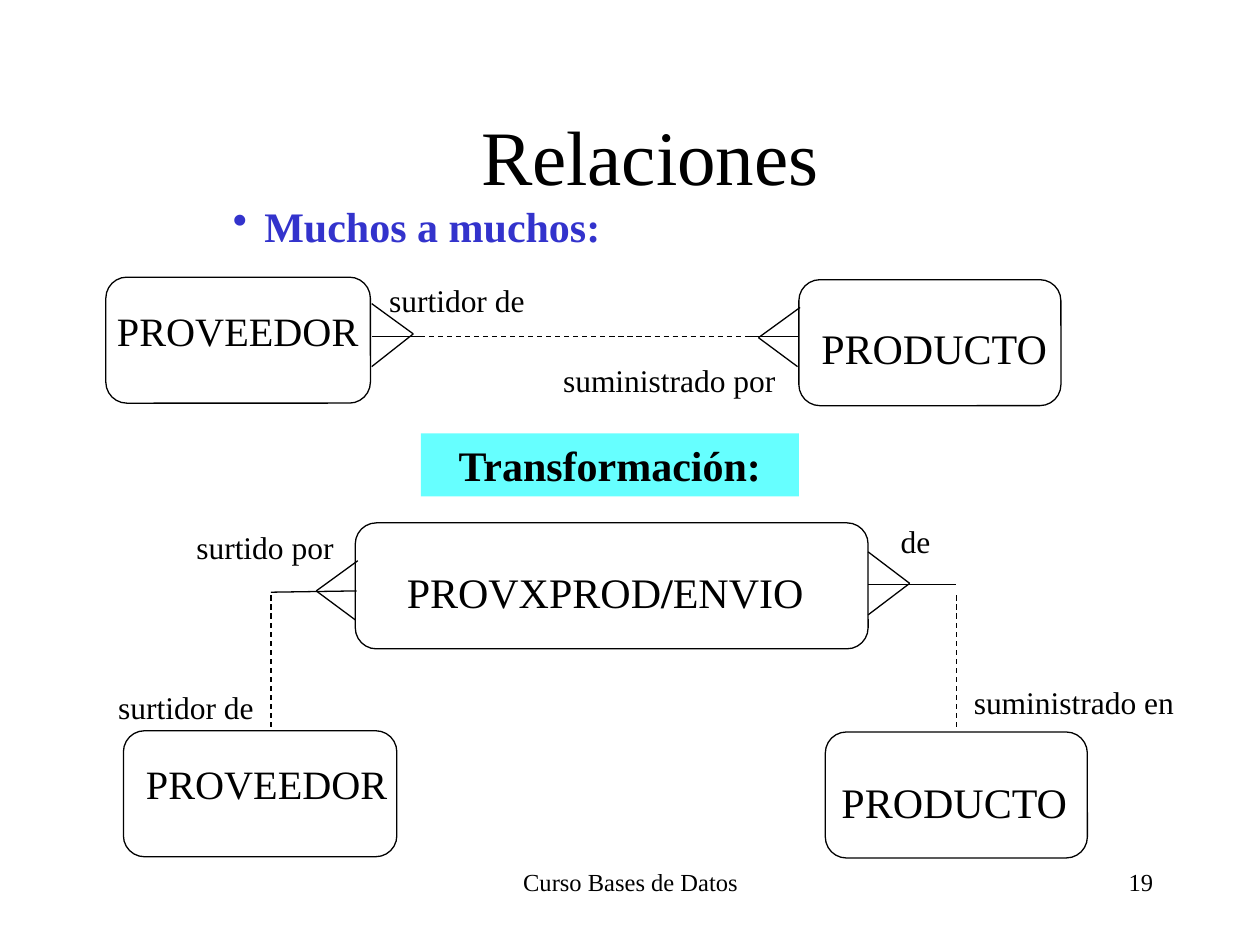
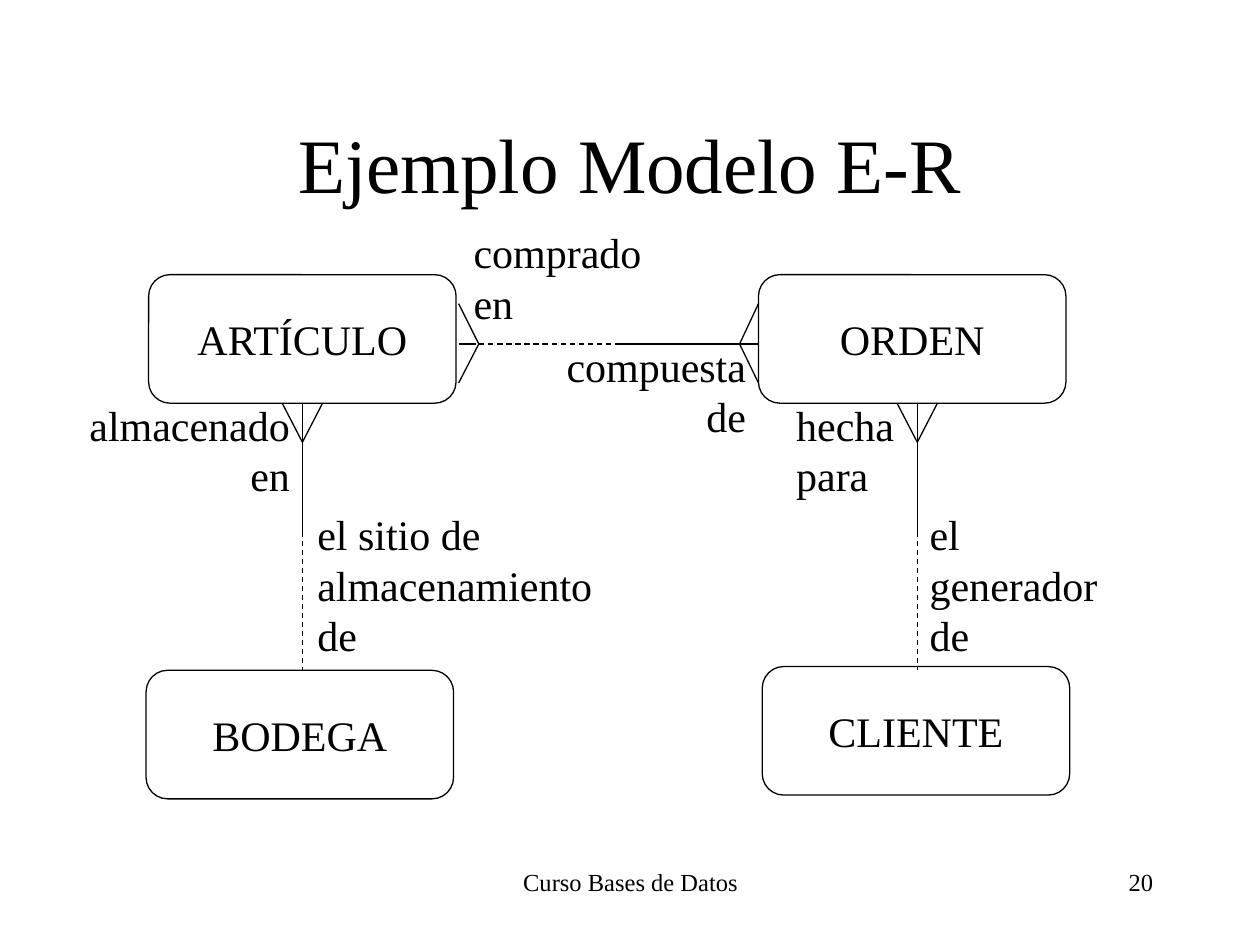
from lxml.etree import SubElement
from pptx import Presentation
from pptx.dml.color import RGBColor
from pptx.enum.dml import MSO_LINE
from pptx.enum.shapes import MSO_CONNECTOR, MSO_SHAPE
from pptx.enum.text import MSO_ANCHOR as Anchor, MSO_AUTO_SIZE as AutoSize, PP_ALIGN as Align
from pptx.oxml.ns import qn
from pptx.util import Inches, Pt

COLORS = {"ink": "000000", "accent": "3333CC", "banner": "66FFFF", "paper": "FFFFFF"}
FONT = "Times New Roman"
COLUMNS, ROWS = 100, 75


class Deck:
    """Draws entity-relationship slides on a grid of 100 columns by 75 rows."""

    def __init__(self):
        self.presentation = Presentation()
        self.presentation.slide_width = Inches(10)
        self.presentation.slide_height = Inches(7.5)
        self.column = self.presentation.slide_width / COLUMNS
        self.row = self.presentation.slide_height / ROWS
        self.slide = None

    def color(self, name):
        return RGBColor.from_string(COLORS[name])

    def place(self, left, top, width, height):
        return (round(left * self.column), round(top * self.row),
                round(width * self.column), round(height * self.row))

    def new_slide(self, title, corner, number):
        self.slide = self.presentation.slides.add_slide(self.presentation.slide_layouts[5])
        background = self.slide.background.fill
        background.solid()
        background.fore_color.rgb = self.color("paper")
        shape = self.slide.shapes.title
        box = self.place(*corner, 85, 12.5)
        for name, value in zip(("left", "top", "width", "height"), box):
            setattr(shape, name, value)
        self.set_text(shape, title, 44, align=Align.CENTER, anchor=Anchor.MIDDLE)
        self.label("Curso Bases de Datos", (34.2, 68.3, 31.7, 5), 14, wrap=True, align=Align.CENTER)
        self.label(str(number), (71.7, 68.3, 20.8, 5), 14, wrap=True, align=Align.RIGHT)

    def set_text(self, shape, text, size, bold=False, color="ink", align=Align.LEFT,
                 anchor=Anchor.TOP, wrap=True, before=0):
        frame = shape.text_frame
        frame_format = {"word_wrap": wrap, "auto_size": AutoSize.NONE, "vertical_anchor": anchor,
                        "margin_left": Inches(0.1), "margin_right": Inches(0.1),
                        "margin_top": Inches(0.05), "margin_bottom": Inches(0.05)}
        for name, value in frame_format.items():
            setattr(frame, name, value)
        paragraph = frame.paragraphs[0]
        paragraph.alignment = align
        paragraph.space_before = Pt(before)
        runs = [(text, bold)] if isinstance(text, str) else text
        for words, heavy in runs:
            run = paragraph.add_run()
            run.text = words
            for name, value in {"name": FONT, "size": Pt(size), "bold": heavy}.items():
                setattr(run.font, name, value)
            run.font.color.rgb = self.color(color)
        return paragraph

    def label(self, text, box, size=18, wrap=False, **style):
        shape = self.slide.shapes.add_textbox(*self.place(*box))
        self.set_text(shape, text, size, wrap=wrap, **style)
        return shape

    def bullet(self, text, box):
        shape = self.slide.shapes.add_textbox(*self.place(*box))
        paragraph = self.set_text(shape, text, 24, bold=True, color="accent", before=6)
        properties = paragraph._p.get_or_add_pPr()
        for name, value in {"lvl": 2, "marL": Inches(1.25), "indent": Inches(-0.25)}.items():
            properties.set(name, str(int(value)))
        bullet_color = SubElement(properties, qn("a:buClr"))
        SubElement(bullet_color, qn("a:srgbClr")).set("val", COLORS["accent"])
        SubElement(properties, qn("a:buChar")).set("char", "•")

    def banner(self, text, box):
        shape = self.slide.shapes.add_shape(MSO_SHAPE.RECTANGLE, *self.place(*box))
        shape.shadow.inherit = False
        shape.fill.solid()
        shape.fill.fore_color.rgb = self.color("banner")
        shape.line.fill.background()
        self.set_text(shape, text, 24, bold=True, align=Align.CENTER, before=6)

    def entity(self, box, text=None):
        shape = self.slide.shapes.add_shape(MSO_SHAPE.ROUNDED_RECTANGLE, *self.place(*box))
        shape.adjustments[0] = 0.167
        shape.shadow.inherit = False
        shape.fill.background()
        shape.line.color.rgb = self.color("ink")
        shape.line.width = Pt(0.74)
        if text:
            self.set_text(shape, text, 24, align=Align.CENTER, anchor=Anchor.MIDDLE, wrap=False)
        return shape

    def labelled_entity(self, box, text, text_box, size=24):
        self.slide.shapes.add_group_shape([self.entity(box), self.label(text, text_box, size)])

    def line(self, start, end, dashed=False):
        ends = self.place(*start, *end)
        connector = self.slide.shapes.add_connector(MSO_CONNECTOR.STRAIGHT, *ends)
        connector.line.color.rgb = self.color("ink")
        connector.line.width = Pt(0.74)
        if dashed:
            connector.line.dash_style = MSO_LINE.DASH
        SubElement(connector._element.spPr, qn("a:effectLst"))

    def crow_foot(self, tip, *toes):
        for toe in toes:
            self.line(tip, toe)


def many_to_many(deck):
    deck.new_slide("Relaciones", (9.1, 6), 19)
    deck.bullet("Muchos a muchos:", (7.5, 15.4, 85, 17.5))
    deck.banner("Transformación:", (33.4, 34.4, 30, 5))

    suppliers = [((8.4, 22, 21, 10), (8.3, 23.8)), ((9.8, 58, 21.7, 10), (10.6, 59.8))]
    products = [((63.4, 22.2, 20.8, 10), (64.2, 25.1)), ((65.5, 58.1, 20.8, 10), (65.8, 61.1))]
    for box, corner in suppliers:
        deck.labelled_entity(box, "PROVEEDOR", (*corner, 21.2, 4.9), 23)
    for box, corner in products:
        deck.labelled_entity(box, "PRODUCTO", (*corner, 19.9, 5))
    shipment = [("PROVXPROD", False), ("/", True), ("ENVIO", False)]
    deck.labelled_entity((28.2, 41.5, 40.7, 10), shipment, (31.3, 44.5, 33.5, 5))

    for text, left, top, width in [
        ("surtidor de", 29.9, 21.8, 12.7), ("suministrado por", 43.7, 28.2, 18.9),
        ("surtidor de", 8.4, 54.1, 12.7), ("suministrado en", 76.3, 53.7, 17.9),
        ("de", 70.5, 40.9, 4.3), ("surtido por", 14.6, 41.4, 15.3),
    ]:
        deck.label(text, (left, top, width, 4))

    deck.line((32.6, 26.7), (61, 26.7), dashed=True)
    for left in (29.5, 59.4):
        deck.line((left, 26.7), (left + 4, 26.7))
    for x in (21.5, 75.9):
        deck.line((x, 57.7), (x, 47), dashed=True)
    deck.line((68.9, 46.4), (75.9, 46.4))
    deck.line((21.5, 47), (28.3, 46.9))
    deck.crow_foot((32.8, 26.5), (29.5, 24.1), (29.5, 29.1))
    deck.crow_foot((60.2, 26.8), (63.5, 24.4), (63.3, 29.1))
    deck.crow_foot((72.2, 46.3), (68.9, 43.8), (68.9, 48.8))
    deck.crow_foot((25.1, 46.9), (28.4, 44.5), (28.2, 49.2))


def example_model(deck):
    deck.new_slide("Ejemplo Modelo E-R", (7.5, 6.7), 20)
    for text, left, top in [("ARTÍCULO", 11.8, 21.8), ("BODEGA", 11.6, 53.2),
                            ("ORDEN", 60.2, 21.8), ("CLIENTE", 60.5, 52.9)]:
        deck.entity((left, top, 24.4, 10.2), text)

    for text, box, align in [
        ("almacenado en", (2.7, 31.2, 21.3, 9), Align.RIGHT),
        ("el sitio de almacenamiento de", (24.2, 39.9, 26, 13), Align.LEFT),
        ("comprado en", (36.6, 17.5, 18.1, 9), Align.LEFT),
        ("compuesta de", (42.1, 26.5, 18.1, 9), Align.RIGHT),
        ("hecha para", (62.2, 31.2, 9.9, 9), Align.LEFT),
        ("el generador de", (72.8, 39.9, 15.7, 13), Align.LEFT),
    ]:
        deck.label(text, box, 24, wrap=True, align=align, before=15)

    for x in (24, 72.8):
        deck.line((x, 32), (x, 42.2))
        deck.line((x, 42.2), (x, 53.2), dashed=True)
        deck.crow_foot((x, 35.1), (x - 1.6, 32), (x + 1.6, 32))

    deck.line((49.2, 27.3), (36.6, 27.3), dashed=True)
    deck.line((49.2, 27.3), (60.2, 27.3))
    deck.line((36.4, 27.3), (37.8, 27.3))
    for tip, base in ((38, 36.4), (58.7, 60.2)):
        deck.crow_foot((tip, 27.3), (base, 24.1), (base, 30.4))


deck = Deck()
many_to_many(deck)
example_model(deck)
deck.presentation.save("out.pptx")
